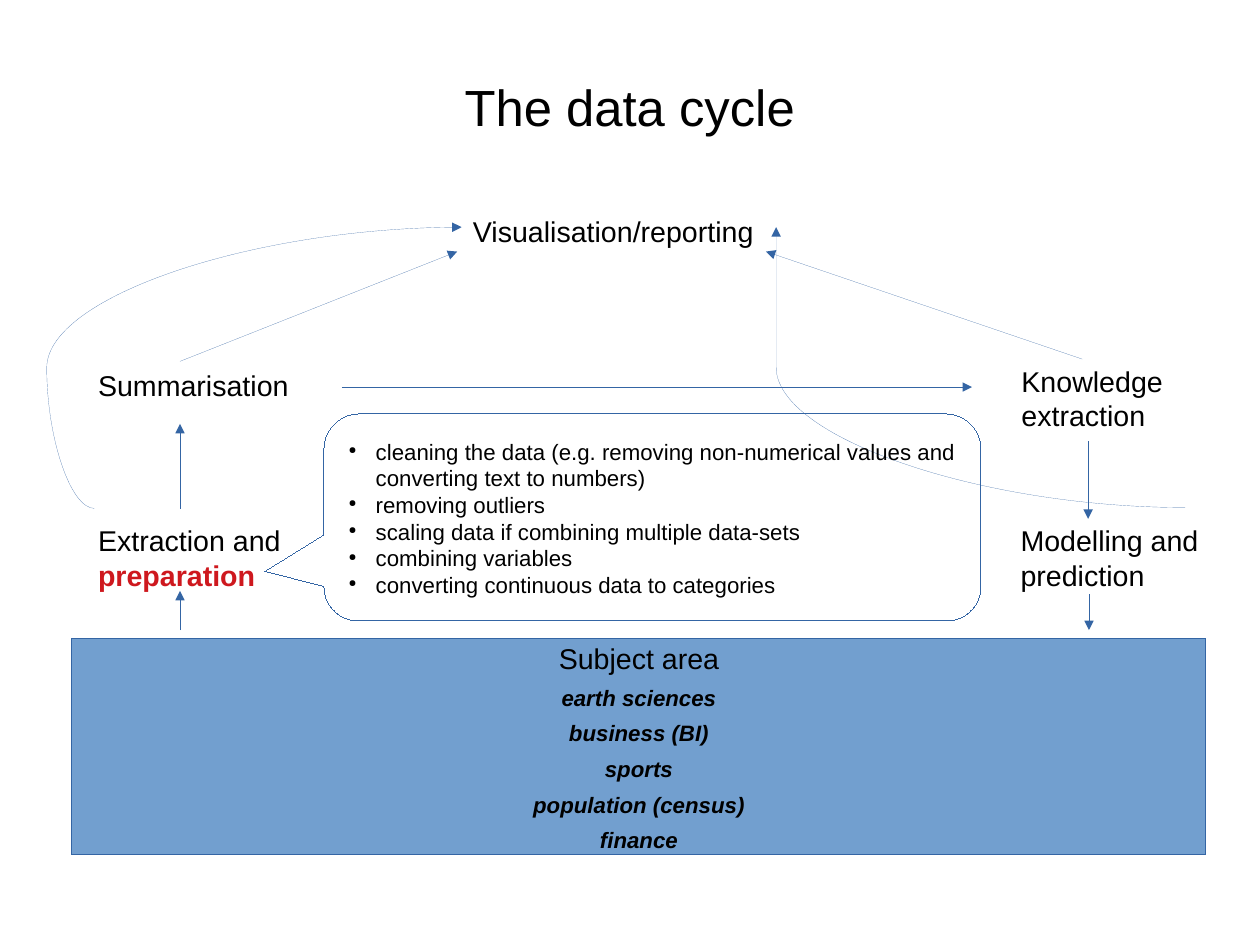
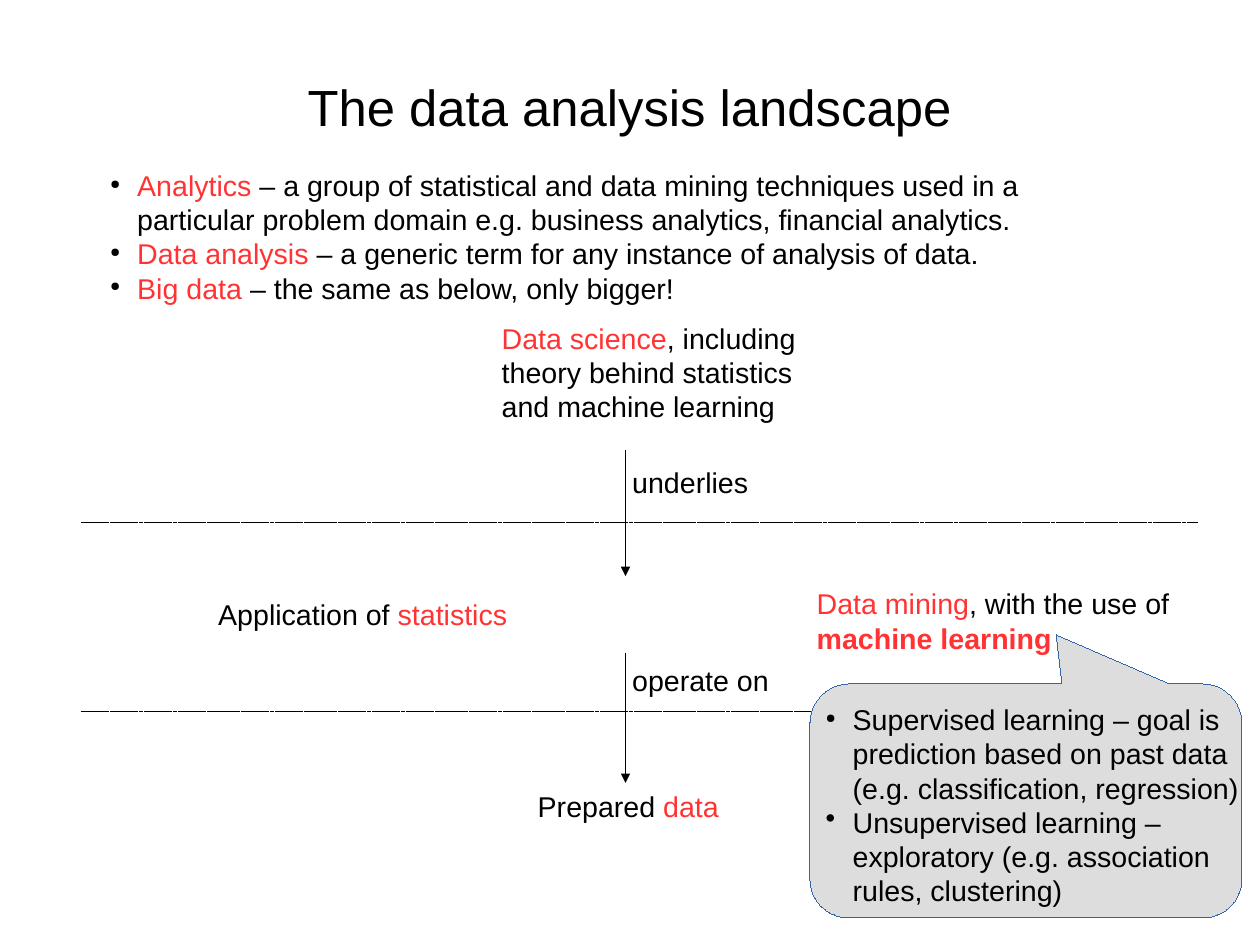
from dataclasses import dataclass

from lxml import etree
from pptx import Presentation
from pptx.dml.color import RGBColor
from pptx.enum.dml import MSO_LINE
from pptx.enum.shapes import MSO_CONNECTOR, MSO_SHAPE
from pptx.enum.text import MSO_ANCHOR, MSO_AUTO_SIZE, PP_ALIGN
from pptx.oxml.ns import qn
from pptx.util import Cm, Pt

STRAIGHT, CURVE = MSO_CONNECTOR.STRAIGHT, MSO_CONNECTOR.CURVE
LEFT, CENTER = PP_ALIGN.LEFT, PP_ALIGN.CENTER
TOP, MIDDLE = MSO_ANCHOR.TOP, MSO_ANCHOR.MIDDLE
DASHED = MSO_LINE.SQUARE_DOT
CALLOUT, RECTANGLE = MSO_SHAPE.ROUNDED_RECTANGULAR_CALLOUT, MSO_SHAPE.RECTANGLE
TITLE_ONLY = 5


@dataclass(frozen=True)
class Theme:
    font: str = "Arial"
    title_size: int = 32
    text_size: int = 18
    small_size: int = 14
    hairline: float = 0.01
    black: str = "000000"
    red: str = "FF3333"
    dark_red: str = "CE181E"
    outline: str = "3465A4"
    blue: str = "729FCF"
    gray: str = "DDDDDD"


THEME = Theme()


def write(box, paragraphs, size=THEME.text_size, align=LEFT, anchor=TOP,
          bullets="", margins=(0.25, 0.13), space=0):
    """Fill a shape; a span is plain text or (text, colour, bold, italic)."""
    frame = box.text_frame
    frame.word_wrap = True
    frame.auto_size = MSO_AUTO_SIZE.NONE
    frame.vertical_anchor = anchor
    frame.margin_left = frame.margin_right = Cm(margins[0])
    frame.margin_top = frame.margin_bottom = Cm(margins[1])
    for index, spans in enumerate(paragraphs):
        para = frame.paragraphs[0] if index == 0 else frame.add_paragraph()
        para.alignment = align
        para.space_before = Pt(space if index else 0)
        for span in spans:
            text, color, bold, italic = (
                (span, THEME.black, False, False) if isinstance(span, str)
                else (*span, False, False)[:4])
            run = para.add_run()
            run.text = text
            run.font.name = THEME.font
            run.font.size = Pt(size if index == 0 or not space else THEME.small_size)
            run.font.bold, run.font.italic = bold, italic
            run.font.color.rgb = RGBColor.from_string(color)
        if bullets:
            mark = bullets[index]
            properties = para._p.get_or_add_pPr()
            properties.set("marL", str(Cm(0.6)))
            properties.set("indent", str(-Cm(0.6)))
            color = etree.SubElement(properties, qn("a:buClr"))
            etree.SubElement(color, qn("a:srgbClr"), val=THEME.black)
            percent = "45000" if mark == "●" else "100000"
            etree.SubElement(properties, qn("a:buSzPct"), val=percent)
            etree.SubElement(properties, qn("a:buChar"), char=mark)


def draw_line(page, begin, end, color, arrow=True, bend=None):
    """Draw a hairline: an arrow, a dashed divider, or a curve with a bend."""
    kind = STRAIGHT if bend is None else CURVE
    line = page.shapes.add_connector(kind, *map(Cm, (*begin, *end)))
    line.line.color.rgb = RGBColor.from_string(color)
    line.line.width = Pt(THEME.hairline)
    if arrow:
        etree.SubElement(line.line._get_or_add_ln(), qn("a:tailEnd"), type="triangle")
    else:
        line.line.dash_style = DASHED
    properties = line._element.spPr
    etree.SubElement(properties, qn("a:effectLst"))
    if bend is not None:
        guides = properties.find(qn("a:prstGeom")).get_or_add_avLst()
        etree.SubElement(guides, qn("a:gd"), name="adj1", fmla=f"val {round(bend * 100000)}")


deck = Presentation()
deck.slide_width, deck.slide_height = Cm(28), Cm(21)
pages = []
for heading in ("The data cycle", "The data analysis landscape"):
    page = deck.slides.add_slide(deck.slide_layouts[TITLE_ONLY])
    title = page.shapes.title
    title.left, title.top, title.width, title.height = map(Cm, (1.4, 1.6, 25.2, 1.5))
    write(title, [[heading]], size=THEME.title_size, align=CENTER, anchor=MIDDLE, margins=(0, 0))
    pages.append(page)
cycle, landscape = pages

# Labels: page, (left, top, width, height), spans
labels = [
    (cycle, (1.93, 11.5, 6, 1.7), ["Extraction and ", ("preparation", THEME.dark_red, True)]),
    (cycle, (1.93, 8.05, 6, 1), ["Summarisation"]),
    (cycle, (22.45, 7.95, 5.5, 1.7), ["Knowledge extraction"]),
    (cycle, (10.26, 4.62, 7, 1), ["Visualisation/reporting"]),
    (cycle, (22.43, 11.5, 5.5, 1.7), ["Modelling and prediction"]),
    (landscape, (11.7, 17.4, 6, 1), ["Prepared ", ("data", THEME.red)]),
    (landscape, (17.9, 12.9, 8.7, 1.7),
     [("Data mining", THEME.red), ", with the use of ", ("machine learning", THEME.red, True)]),
    (landscape, (4.6, 13.13, 7.8, 1), ["Application of ", ("statistics", THEME.red)]),
    (landscape, (13.8, 10.2, 5, 1), ["underlies"]),
    (landscape, (13.8, 14.6, 5, 1), ["operate on"]),
    (landscape, (10.9, 7, 7.8, 2.5),
     [("Data science", THEME.red), ", including theory behind statistics and machine learning"]),
]
for page, place, spans in labels:
    write(page.shapes.add_textbox(*map(Cm, place)), [spans])

definitions = landscape.shapes.add_textbox(*map(Cm, (2.2, 3.6, 23.2, 3.2)))
write(definitions, [
    [("Analytics", THEME.red), " – a group of statistical and data mining techniques used in a "
     "particular problem domain e.g. business analytics, financial analytics."],
    [("Data analysis", THEME.red), " – a generic term for any instance of analysis of data."],
    [("Big data ", THEME.red), "– the same as below, only bigger!"],
], bullets="●●●")

# Subject area band
subject = cycle.shapes.add_shape(RECTANGLE, *map(Cm, (1.6, 14.2, 25.2, 4.8)))
subject.shadow.inherit = False
subject.fill.solid()
subject.fill.fore_color.rgb = RGBColor.from_string(THEME.blue)
subject.line.color.rgb = RGBColor.from_string(THEME.outline)
subject.line.width = Pt(THEME.hairline)
fields = ["earth sciences", "business (BI)", "sports", "population (census)", "finance"]
write(subject, [["Subject area"]] + [[(field, THEME.black, True, True)] for field in fields],
      align=CENTER, anchor=MIDDLE, space=5.7)

# Arrows and dividers
cycle_arrows = [
    ((7.6, 8.6), (21.6, 8.6)),
    ((24.18, 9.8), (24.18, 11.53)),
    ((4, 11.3), (4, 9.42)),
    ((4, 8.03), (10.16, 5.59)),
    ((24.05, 7.98), (17.02, 5.59)),
    ((24.2, 13.2), (24.2, 14)),
    ((4, 14), (4, 13.13)),
]
for begin, end in cycle_arrows:
    draw_line(cycle, begin, end, THEME.outline)
draw_line(cycle, (2.1, 11.3), (10.26, 5.05), THEME.outline, bend=-0.13)
draw_line(cycle, (26.34, 11.28), (17.25, 5.05), THEME.outline, bend=1)
for divider, start, tip in ((11.6, 10, 12.8), (15.8, 14.5, 17.4)):
    draw_line(landscape, (1.8, divider), (26.6, divider), THEME.black, arrow=False)
    draw_line(landscape, (13.9, start), (13.9, tip), THEME.black)

# Callouts: page, outline place, pointer, fill, text place, size, bullets, lines
callouts = [
    (cycle, (7.2, 9.2, 14.6, 4.6), (-0.59, 0.26), None,
     (7.5, 9.6, 14.1, 4.1), THEME.small_size, "●●●●●",
     ["cleaning the data (e.g. removing non-numerical values and converting text to numbers)",
      "removing outliers",
      "scaling data if combining multiple data-sets",
      "combining variables",
      "converting continuous data to categories"]),
    (landscape, (18, 15.2, 9.6, 5.2), (0.07, -0.71), THEME.gray,
     (18.1, 15.47, 9.9, 4.9), THEME.text_size, "●•",
     ["Supervised learning – goal is prediction based on past data "
      "(e.g. classification, regression)",
      "Unsupervised learning – exploratory (e.g. association rules, clustering)"]),
]
for page, place, pointer, fill, text_place, size, bullets, lines in callouts:
    bubble = page.shapes.add_shape(CALLOUT, *map(Cm, place))
    bubble.shadow.inherit = False
    bubble.adjustments[0], bubble.adjustments[1] = pointer
    bubble.line.color.rgb = RGBColor.from_string(THEME.outline)
    bubble.line.width = Pt(THEME.hairline)
    if fill:
        bubble.fill.solid()
        bubble.fill.fore_color.rgb = RGBColor.from_string(fill)
    else:
        bubble.fill.background()
    write(page.shapes.add_textbox(*map(Cm, text_place)), [[line] for line in lines],
          size=size, bullets=bullets)

deck.save("out.pptx")
